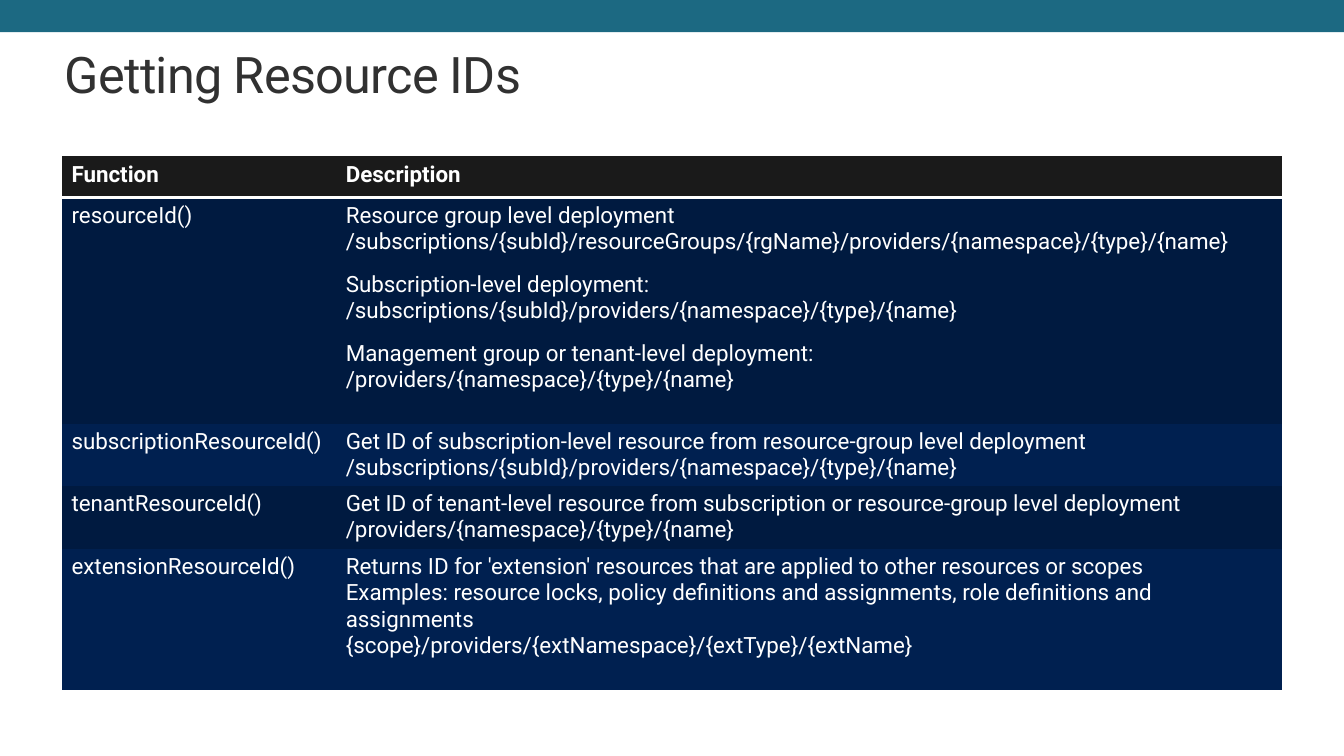
from lxml.etree import SubElement
from pptx import Presentation
from pptx.dml.color import RGBColor
from pptx.enum.shapes import MSO_SHAPE
from pptx.enum.text import MSO_ANCHOR, PP_ALIGN
from pptx.oxml import parse_xml
from pptx.oxml.ns import nsdecls, qn
from pptx.util import Cm, Pt

FONT = "Roboto"
TEAL = RGBColor(0x1C, 0x69, 0x82)
CHARCOAL = RGBColor(0x31, 0x31, 0x31)
BLACK = RGBColor(0x1A, 0x1A, 0x1A)
NAVY = RGBColor(0x00, 0x1A, 0x40)
BLUE = RGBColor(0x00, 0x20, 0x50)
WHITE = RGBColor(0xFF, 0xFF, 0xFF)
PLAIN_STYLE = "{2D5ABB26-0587-4C30-8999-92F81FD0307C}"

TITLE = "Getting Resource IDs"
ROWS = [
    ("Function", ["Description"]),
    ("resourceId()", [
        "Resource group level deployment",
        "/subscriptions/{subId}/resourceGroups/{rgName}/providers/{namespace}/{type}/{name}",
        "Subscription-level deployment:",
        "/subscriptions/{subId}/providers/{namespace}/{type}/{name}",
        "Management group or tenant-level deployment:",
        "/providers/{namespace}/{type}/{name}",
    ]),
    ("subscriptionResourceId()", [
        "Get ID of subscription-level resource from resource-group level deployment\v"
        "/subscriptions/{subId}/providers/{namespace}/{type}/{name}",
    ]),
    ("tenantResourceId()", [
        "Get ID of tenant-level resource from subscription or resource-group level deployment\v"
        "/providers/{namespace}/{type}/{name}",
    ]),
    ("extensionResourceId()", [
        "Returns ID for 'extension' resources that are applied to other resources or scopes\v"
        "Examples: resource locks, policy definitions and assignments, role definitions and assignments",
        "{scope}/providers/{extNamespace}/{extType}/{extName}",
    ]),
]
COLUMN_WIDTHS = [6.91, 23.85]
ROW_HEIGHTS = [1.04, 5.7, 1.57, 1.59, 3.55]


def format_runs(para, size, color, bold=False):
    """Apply one font to the runs and line breaks of a paragraph."""
    for span in para.runs:
        span.font.name = FONT
        span.font.size = Pt(size)
        span.font.bold = bold
        span.font.color.rgb = color
    for line_break in para._p.findall(qn("a:br")):
        SubElement(line_break, qn("a:rPr"), sz=str(size * 100))


def add_title(page):
    """Place and format the title."""
    title = page.shapes.title
    title.left, title.top, title.width, title.height = Cm(1.63), Cm(1.09), Cm(26.62), Cm(1.55)
    frame = title.text_frame
    frame.text = TITLE
    frame.margin_left = frame.margin_right = frame.margin_top = frame.margin_bottom = 0
    frame.vertical_anchor = MSO_ANCHOR.TOP
    para = frame.paragraphs[0]
    para.alignment = PP_ALIGN.LEFT
    format_runs(para, 36, CHARCOAL)
    para.runs[0].font._element.set("spc", "-50")


def add_band(page, width):
    """Draw the coloured band along the top edge."""
    band = page.shapes.add_shape(MSO_SHAPE.RECTANGLE, 0, 0, width, Cm(0.81))
    band.shadow.inherit = False
    band.fill.solid()
    band.fill.fore_color.rgb = TEAL
    band.line.fill.background()


def fill_cell(cell, lines, color, header):
    """Write the lines into a cell, with a gap before each later pair."""
    cell.fill.solid()
    cell.fill.fore_color.rgb = color
    frame = cell.text_frame
    for index, line in enumerate(lines):
        para = frame.add_paragraph() if index else frame.paragraphs[0]
        para.text = line
        if index and index % 2 == 0:
            para.space_before = Pt(12)
        format_runs(para, 16, WHITE, header)
    if header:
        border = parse_xml(
            f'<a:lnB {nsdecls("a")} w="{Pt(2)}"><a:solidFill>'
            f'<a:srgbClr val="{WHITE}"/></a:solidFill></a:lnB>')
        cell._tc.get_or_add_tcPr().insert(0, border)


def add_function_table(page):
    """Build the table of functions and descriptions."""
    frame = page.shapes.add_table(
        len(ROWS), len(COLUMN_WIDTHS), Cm(1.55), Cm(3.94),
        Cm(sum(COLUMN_WIDTHS)), Cm(sum(ROW_HEIGHTS)))
    table = frame.table
    table._tbl.tblPr.find(qn("a:tableStyleId")).text = PLAIN_STYLE
    for column, width in zip(table.columns, COLUMN_WIDTHS):
        column.width = Cm(width)
    for index, (function, description) in enumerate(ROWS):
        table.rows[index].height = Cm(ROW_HEIGHTS[index])
        header = index == 0
        color = BLACK if header else (BLUE, NAVY)[index % 2]
        fill_cell(table.cell(index, 0), [function], color, header)
        fill_cell(table.cell(index, 1), description, color, header)


def main():
    """Build and save the slide."""
    deck = Presentation()
    deck.slide_width, deck.slide_height = Cm(33.87), Cm(19.05)
    page = deck.slides.add_slide(deck.slide_layouts[5])
    add_band(page, deck.slide_width)
    add_title(page)
    add_function_table(page)
    deck.save("out.pptx")


if __name__ == "__main__":
    main()
